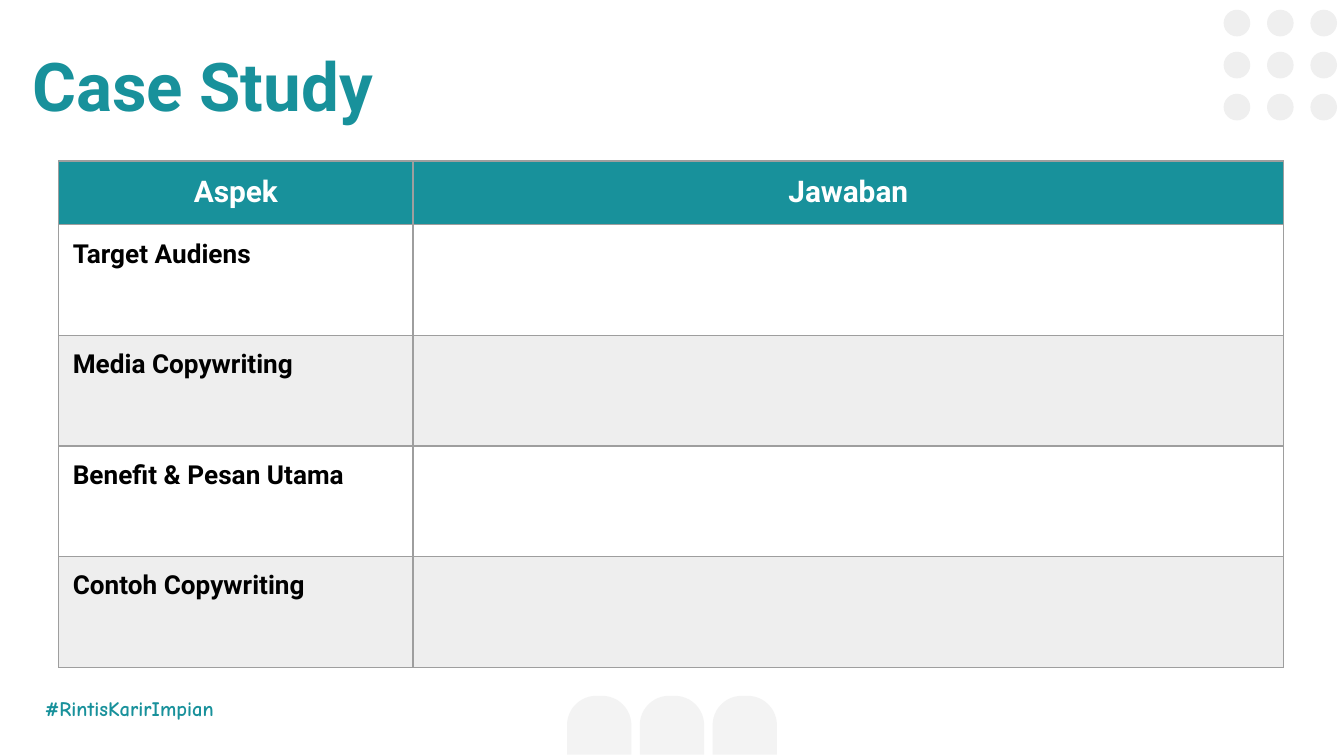
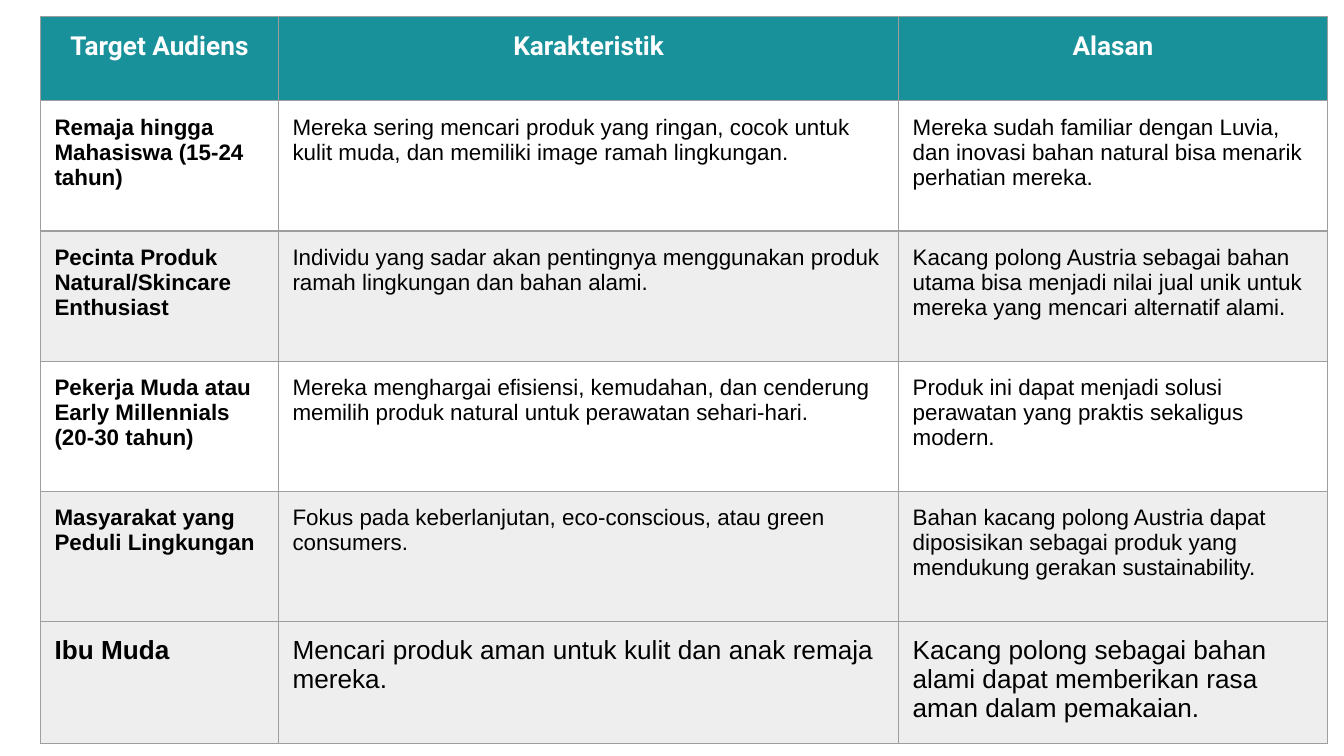
from dataclasses import dataclass
from itertools import product

from lxml.etree import SubElement
from pptx import Presentation
from pptx.dml.color import RGBColor
from pptx.enum.shapes import MSO_SHAPE as Preset
from pptx.enum.text import MSO_ANCHOR as Anchor, MSO_AUTO_SIZE as AutoSize, PP_ALIGN as Align
from pptx.oxml.ns import qn
from pptx.util import Pt

# Shared look: lengths are px, 96 to the inch
PX = 9525
SLIDE_WIDTH, SLIDE_HEIGHT = 960, 540
TEAL, WHITE, BLACK = "18919B", "FFFFFF", "000000"
BAND_GREY, RULE_GREY, DOT_GREY, ARCH_GREY = "EEEEEE", "9E9E9E", "EFEFEF", "F3F3F3"
HEADING_FONT, BODY_FONT, TAG_FONT = "Roboto", "Arial", "Comic Neue"
CELL_INSET = 10
BORDER_WIDTH = Pt(0.75)


@dataclass(frozen=True)
class TextStyle:
    font: str
    size: int
    color: str
    bold: bool = False
    align: Align = Align.LEFT


@dataclass(frozen=True)
class Row:
    texts: tuple[str, ...]
    height: int
    fill: str
    first: TextStyle
    rest: TextStyle


@dataclass(frozen=True)
class Ornament:
    preset: Preset
    fill: str
    left: int
    top: int
    width: int
    height: int
    columns: int
    rows: int
    step_x: int
    step_y: int = 0


def px(*lengths: int) -> tuple[int, ...]:
    return tuple(length * PX for length in lengths)


def rgb(color: str) -> RGBColor:
    return RGBColor.from_string(color)


def write(frame, text: str, style: TextStyle) -> None:
    frame.text = text
    paragraph = frame.paragraphs[0]
    paragraph.alignment = style.align
    for run in paragraph.runs:
        run.font.name, run.font.size = style.font, Pt(style.size)
        run.font.bold = style.bold
        run.font.color.rgb = rgb(style.color)


def set_insets(holder, left: int, top: int, right: int, bottom: int) -> None:
    (holder.margin_left, holder.margin_top,
     holder.margin_right, holder.margin_bottom) = px(left, top, right, bottom)


# Decoration: a grid of equal shapes in one group
def draw_ornament(slide, ornament: Ornament) -> None:
    group = slide.shapes.add_group_shape()
    for row, column in product(range(ornament.rows), range(ornament.columns)):
        left = ornament.left + column * ornament.step_x
        top = ornament.top + row * ornament.step_y
        piece = group.shapes.add_shape(
            ornament.preset, *px(left, top, ornament.width, ornament.height))
        piece.shadow.inherit = False
        piece.fill.solid()
        piece.fill.fore_color.rgb = rgb(ornament.fill)
        piece.line.fill.background()
        if ornament.preset == Preset.ROUND_2_SAME_RECTANGLE:
            piece.adjustments[0] = 0.5


# Tables
def draw_borders(cell) -> None:
    properties = cell._tc.get_or_add_tcPr()
    for index, side in enumerate(("lnL", "lnR", "lnT", "lnB")):
        line = SubElement(properties, qn(f"a:{side}"), w=str(BORDER_WIDTH))
        SubElement(SubElement(line, qn("a:solidFill")), qn("a:srgbClr"), val=RULE_GREY)
        properties.insert(index, line)


def draw_table(slide, left: int, top: int, widths: tuple[int, ...], rows: list[Row]) -> None:
    height = sum(row.height for row in rows)
    table = slide.shapes.add_table(
        len(rows), len(widths), *px(left, top, sum(widths), height)).table
    table.horz_banding = False
    for column, width in zip(table.columns, widths):
        column.width = width * PX
    for row_index, row in enumerate(rows):
        table.rows[row_index].height = row.height * PX
        for column_index, text in enumerate(row.texts):
            cell = table.cell(row_index, column_index)
            set_insets(cell, *[CELL_INSET] * 4)
            cell.fill.solid()
            cell.fill.fore_color.rgb = rgb(row.fill)
            draw_borders(cell)
            if text:
                write(cell.text_frame, text, row.rest if column_index else row.first)


def header_row(texts: tuple[str, ...], height: int, size: int) -> Row:
    heading = TextStyle(HEADING_FONT, size, WHITE, True, Align.CENTER)
    return Row(texts, height, TEAL, heading, heading)


def body_row(texts: tuple[str, ...], height: int, fill: str, font: str, size: int) -> Row:
    return Row(texts, height, fill, TextStyle(font, size, BLACK, True),
               TextStyle(font, size, BLACK))


def band(index: int) -> str:
    return BAND_GREY if index % 2 else WHITE


# Slide 1 content
ARCHES = Ornament(Preset.ROUND_2_SAME_RECTANGLE, ARCH_GREY, 405, 497, 46, 42, 3, 1, 52)
DOTS = Ornament(Preset.OVAL, DOT_GREY, 874, 7, 19, 19, 3, 3, 31, 30)
ASPECTS = ("Target Audiens", "Media Copywriting", "Benefit & Pesan Utama", "Contoh Copywriting")

# Slide 2 content
AUDIENCES = (
    ("Remaja hingga Mahasiswa (15-24 tahun)",
     "Mereka sering mencari produk yang ringan, cocok untuk kulit muda, "
     "dan memiliki image ramah lingkungan.",
     "Mereka sudah familiar dengan Luvia, dan inovasi bahan natural bisa "
     "menarik perhatian mereka."),
    ("Pecinta Produk Natural/Skincare Enthusiast",
     "Individu yang sadar akan pentingnya menggunakan produk ramah lingkungan "
     "dan bahan alami.",
     "Kacang polong Austria sebagai bahan utama bisa menjadi nilai jual unik "
     "untuk mereka yang mencari alternatif alami."),
    ("Pekerja Muda atau Early Millennials (20-30 tahun)",
     "Mereka menghargai efisiensi, kemudahan, dan cenderung memilih produk "
     "natural untuk perawatan sehari-hari.",
     "Produk ini dapat menjadi solusi perawatan yang praktis sekaligus modern."),
    ("Masyarakat yang Peduli Lingkungan",
     "Fokus pada keberlanjutan, eco-conscious, atau green consumers.",
     "Bahan kacang polong Austria dapat diposisikan sebagai produk yang "
     "mendukung gerakan sustainability."),
)
YOUNG_MOTHERS = (
    "Ibu Muda",
    "Mencari produk aman untuk kulit dan anak remaja mereka.",
    "Kacang polong sebagai bahan alami dapat memberikan rasa aman dalam pemakaian.",
)


def build_case_study(deck) -> None:
    slide = deck.slides.add_slide(deck.slide_layouts[5])
    draw_ornament(slide, ARCHES)
    draw_ornament(slide, DOTS)

    hashtag = slide.shapes.add_textbox(*px(22, 488, 151, 37)).text_frame
    hashtag.word_wrap = True
    set_insets(hashtag, *[CELL_INSET] * 4)
    write(hashtag, "#RintisKarirImpian", TextStyle(TAG_FONT, 11, TEAL, True))

    rows = [header_row(("Aspek", "Jawaban"), 41, 16)]
    rows += [body_row((aspect, ""), 79, band(index), HEADING_FONT, 14)
             for index, aspect in enumerate(ASPECTS)]
    draw_table(slide, 42, 115, (253, 622), rows)

    title = slide.shapes.title
    title.left, title.top, title.width, title.height = px(22, 31, 896, 60)
    set_insets(title.text_frame, 1, 1, 0, 0)
    title.text_frame.vertical_anchor = Anchor.TOP
    title.text_frame.auto_size = AutoSize.SHAPE_TO_FIT_TEXT
    write(title.text_frame, "Case Study", TextStyle(HEADING_FONT, 36, TEAL, True))


def build_audiences(deck) -> None:
    slide = deck.slides.add_slide(deck.slide_layouts[6])
    rows = [header_row(("Target Audiens", "Karakteristik", "Alasan"), 60, 14)]
    rows += [body_row(audience, 93, band(index), BODY_FONT, 12)
             for index, audience in enumerate(AUDIENCES)]
    rows.append(body_row(YOUNG_MOTHERS, 83, BAND_GREY, BODY_FONT, 14))
    draw_table(slide, 29, 12, (170, 443, 306), rows)


def main() -> None:
    deck = Presentation()
    deck.slide_width, deck.slide_height = px(SLIDE_WIDTH, SLIDE_HEIGHT)
    build_case_study(deck)
    build_audiences(deck)
    deck.save("out.pptx")


if __name__ == "__main__":
    main()
